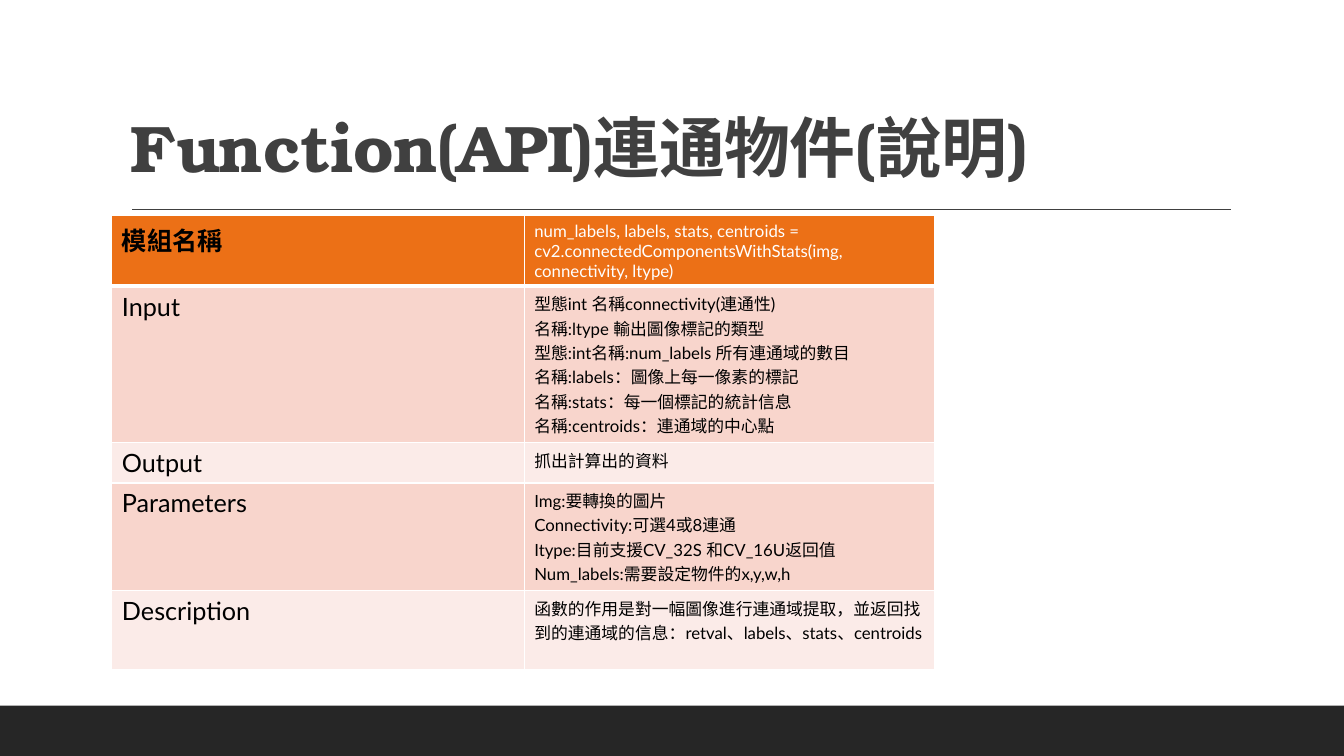
from lxml import etree
from pptx import Presentation
from pptx.dml.color import RGBColor
from pptx.enum.shapes import MSO_CONNECTOR, MSO_SHAPE
from pptx.enum.text import MSO_ANCHOR
from pptx.oxml import parse_xml
from pptx.oxml.ns import nsdecls, qn
from pptx.util import Inches, Pt

TITLE = "Function(API)連通物件(說明)"
# Each row: height, label, lines of detail
ROWS = [
    (0.68, "模組名稱", [
        "num_labels, labels, stats, centroids = "
        "cv2.connectedComponentsWithStats(img, connectivity, ltype)"]),
    (1.55, "Input", [
        "型態int 名稱connectivity(連通性)",
        "名稱:ltype 輸出圖像標記的類型",
        "型態:int名稱:num_labels 所有連通域的數目",
        "名稱:labels：圖像上每一像素的標記",
        "名稱:stats：每一個標記的統計信息",
        "名稱:centroids：連通域的中心點"]),
    (0.4, "Output", ["抓出計算出的資料"]),
    (1.07, "Parameters", [
        "Img:要轉換的圖片",
        "Connectivity:可選4或8連通",
        "Itype:目前支援CV_32S 和CV_16U返回值",
        "Num_labels:需要設定物件的x,y,w,h"]),
    (0.78, "Description", [
        "函數的作用是對一幅圖像進行連通域提取，並返回找到的連通域的信息："
        "retval、labels、stats、centroids"]),
]
COLUMNS = [4.09, 4.07]
COLORS = {
    "footer": "262626", "title": "404040", "header": "EC7016",
    "odd": "F8D5CC", "even": "FBEBE8", "text": "000000", "white": "FFFFFF",
}
BODY_FONT = "Lato"
TITLE_FONT = "TeX Gyre Bonum"


def color(name):
    return RGBColor.from_string(COLORS[name])


def style(font, name, size, color_name, bold=False):
    font.name, font.size, font.bold = name, Pt(size), bold
    font.color.rgb = color(color_name)


def set_borders(cell, bottom):
    widths = {"lnL": 1, "lnR": 1, "lnT": 1, "lnB": bottom}
    properties = cell._tc.get_or_add_tcPr()
    for index, (tag, width) in enumerate(widths.items()):
        properties.insert(index, parse_xml(
            f'<a:{tag} {nsdecls("a")} w="{Pt(width)}"><a:solidFill>'
            f'<a:srgbClr val="{COLORS["white"]}"/></a:solidFill></a:{tag}>'))


def fill_cell(cell, lines, size, color_name, fill_name, bold, bottom):
    cell.text_frame.text = "\n".join(lines)
    for para in cell.text_frame.paragraphs:
        for span in para.runs:
            style(span.font, BODY_FONT, size, color_name, bold)
    cell.fill.solid()
    cell.fill.fore_color.rgb = color(fill_name)
    set_borders(cell, bottom)


deck = Presentation()
deck.slide_width, deck.slide_height = Inches(13.33), Inches(7.5)
page = deck.slides.add_slide(deck.slide_layouts[6])

# Footer band
band = page.shapes.add_shape(
    MSO_SHAPE.RECTANGLE, 0, Inches(7), deck.slide_width, Inches(0.5))
band.shadow.inherit = False
band.fill.solid()
band.fill.fore_color.rgb = color("footer")
band.line.fill.background()

# Rule under the title
rule = page.shapes.add_connector(
    MSO_CONNECTOR.STRAIGHT, Inches(1.31), Inches(2.08), Inches(12.21), Inches(2.08))
rule.line.color.rgb = color("title")
rule.line.width = Pt(1)
etree.SubElement(rule._element.spPr, qn("a:effectLst"))

# Title
box = page.shapes.add_textbox(Inches(1.2), Inches(0.31), Inches(11), Inches(1.59))
frame = box.text_frame
frame.word_wrap = True
frame.vertical_anchor = MSO_ANCHOR.BOTTOM
frame.text = TITLE
para = frame.paragraphs[0]
para.line_spacing = 0.9
span = para.runs[0]
style(span.font, TITLE_FONT, 47, "title", True)
span._r.get_or_add_rPr().set("spc", "-50")

# Module table
table = page.shapes.add_table(
    len(ROWS), len(COLUMNS), Inches(1.11), Inches(2.14),
    Inches(sum(COLUMNS)), Inches(sum(row[0] for row in ROWS))).table
for column, width in zip(table.columns, COLUMNS):
    column.width = Inches(width)
for index, (height, label, details) in enumerate(ROWS):
    table.rows[index].height = Inches(height)
    header = index == 0
    fill_name = "header" if header else ("odd" if index % 2 else "even")
    bottom = 3 if header else 1
    fill_cell(table.cell(index, 0), [label], 18, "text", fill_name, header, bottom)
    fill_cell(table.cell(index, 1), details, 12, "white" if header else "text",
              fill_name, False, bottom)

deck.save("out.pptx")
